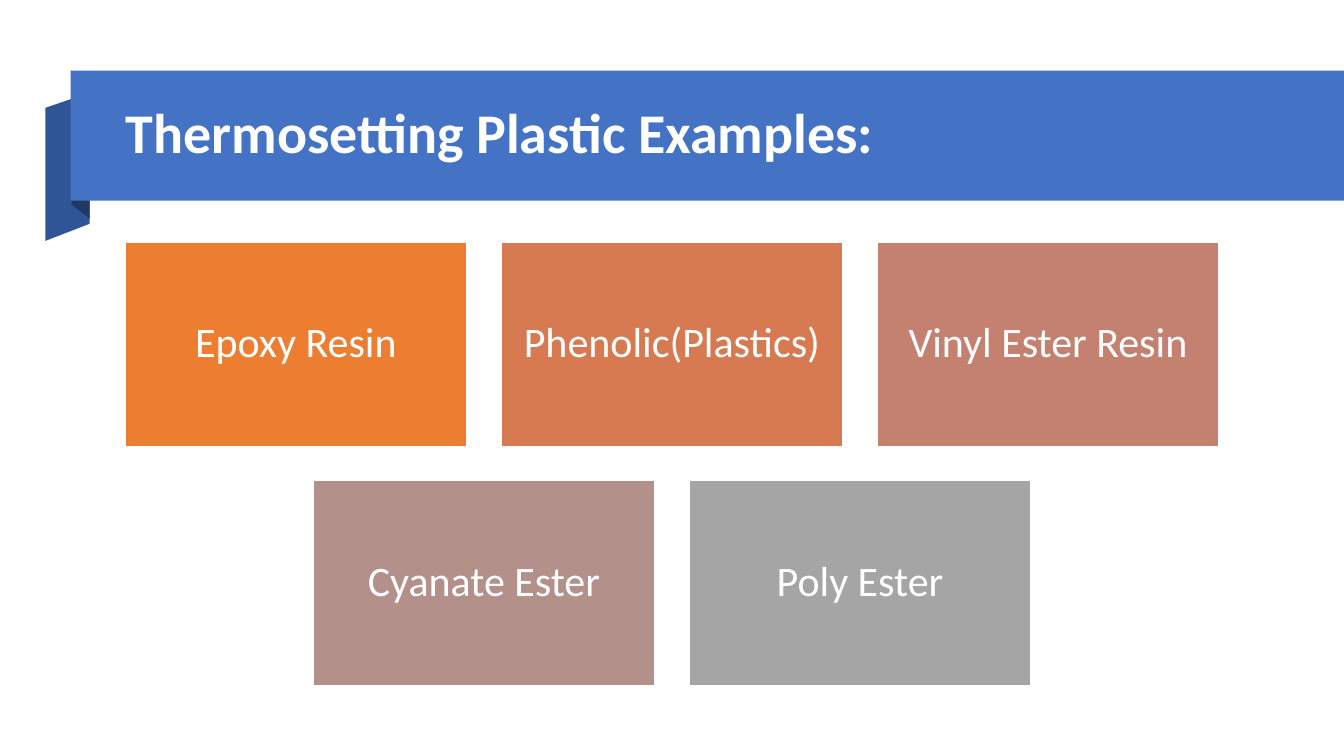
from dataclasses import dataclass

import pptx
import pptx.dml.color
import pptx.enum.shapes
import pptx.enum.text
import pptx.util

Inches = pptx.util.Inches
Pt = pptx.util.Pt
RGB = pptx.dml.color.RGBColor.from_string


@dataclass(frozen=True)
class Theme:
    font: str = "Calibri"
    title_size: int = 40
    tile_size: int = 30
    light: str = "FFFFFF"
    banner: str = "4472C4"
    fold: str = "2F5597"
    fold_shade: str = "203864"


THEME = Theme()
SLIDE_WIDTH, SLIDE_HEIGHT = 13.33, 7.5
PLASTIC_ROWS = [
    [("Epoxy Resin", "ED7D31"), ("Phenolic(Plastics)", "D87A51"),
     ("Vinyl Ester Resin", "C48170")],
    [("Cyanate Ester", "B4908B"), ("Poly Ester", "A5A5A5")],
]


def paint(shape, color):
    shape.shadow.inherit = False
    shape.fill.solid()
    shape.fill.fore_color.rgb = RGB(color)
    shape.line.fill.background()


def add_box(slide, left, top, width, height, color):
    box = slide.shapes.add_shape(
        pptx.enum.shapes.MSO_SHAPE.RECTANGLE,
        Inches(left), Inches(top), Inches(width), Inches(height))
    paint(box, color)
    return box


def add_fold(slide, points, color):
    start, *rest = [(Inches(x), Inches(y)) for x, y in points]
    builder = slide.shapes.build_freeform(*start)
    builder.add_line_segments(rest, close=True)
    paint(builder.convert_to_shape(), color)


def write(frame, text, size, align, bold=False):
    frame.word_wrap = True
    frame.vertical_anchor = pptx.enum.text.MSO_ANCHOR.MIDDLE
    paragraph = frame.paragraphs[0]
    paragraph.text = text
    paragraph.alignment = align
    paragraph.line_spacing = 0.9
    paragraph.font.name = THEME.font
    paragraph.font.size = Pt(size)
    paragraph.font.bold = bold
    paragraph.font.color.rgb = RGB(THEME.light)


def add_title_ribbon(slide, left, top, width, height, title):
    """Draw the banner with its folded end behind the left edge."""
    crease = left + 0.19
    tail = left - 0.25
    add_fold(slide, [(crease, top + 1.52), (tail, top + 1.69),
                     (tail, top + 0.37), (crease, top + 0.22)], THEME.fold)
    add_fold(slide, [(crease, top + 1.47), (left + 0.01, top + 1.33),
                     (left + 0.01, top), (crease, top + 0.15)], THEME.fold_shade)
    add_box(slide, left, top, width, height, THEME.banner)
    heading = slide.shapes.add_textbox(
        Inches(left + 0.45), Inches(top + 0.16),
        Inches(width - 1.36), Inches(height - 0.33))
    write(heading.text_frame, title, THEME.title_size,
          pptx.enum.text.PP_ALIGN.LEFT, bold=True)


def add_plastic_tile(slide, left, top, width, height, plastic, color):
    tile = add_box(slide, left, top, width, height, color)
    tile.line.color.rgb = RGB(THEME.light)
    tile.line.width = Pt(1)
    frame = tile.text_frame
    frame.margin_left = frame.margin_right = Inches(0.12)
    frame.margin_top = frame.margin_bottom = Inches(0.12)
    write(frame, plastic, THEME.tile_size, pptx.enum.text.PP_ALIGN.CENTER)


def add_tile_rows(slide, left, top, width, height, rows, gap=0.34):
    """Fill the box with equal tiles, centring any shorter row."""
    columns = max(len(row) for row in rows)
    tile_width = (width - gap * (columns - 1)) / columns
    tile_height = (height - gap * (len(rows) - 1)) / len(rows)
    for row_index, row in enumerate(rows):
        indent = (columns - len(row)) * (tile_width + gap) / 2
        for column, (plastic, color) in enumerate(row):
            add_plastic_tile(
                slide, left + indent + column * (tile_width + gap),
                top + row_index * (tile_height + gap),
                tile_width, tile_height, plastic, color)


def main():
    deck = pptx.Presentation()
    deck.slide_width = Inches(SLIDE_WIDTH)
    deck.slide_height = Inches(SLIDE_HEIGHT)
    slide = deck.slides.add_slide(deck.slide_layouts[6])
    add_title_ribbon(slide, 0.7, 0.7, SLIDE_WIDTH - 0.7, 1.29,
                     "Thermosetting Plastic Examples:")
    add_tile_rows(slide, 1.24, 2.4, 10.85, 4.4, PLASTIC_ROWS)
    deck.save("out.pptx")


if __name__ == "__main__":
    main()
